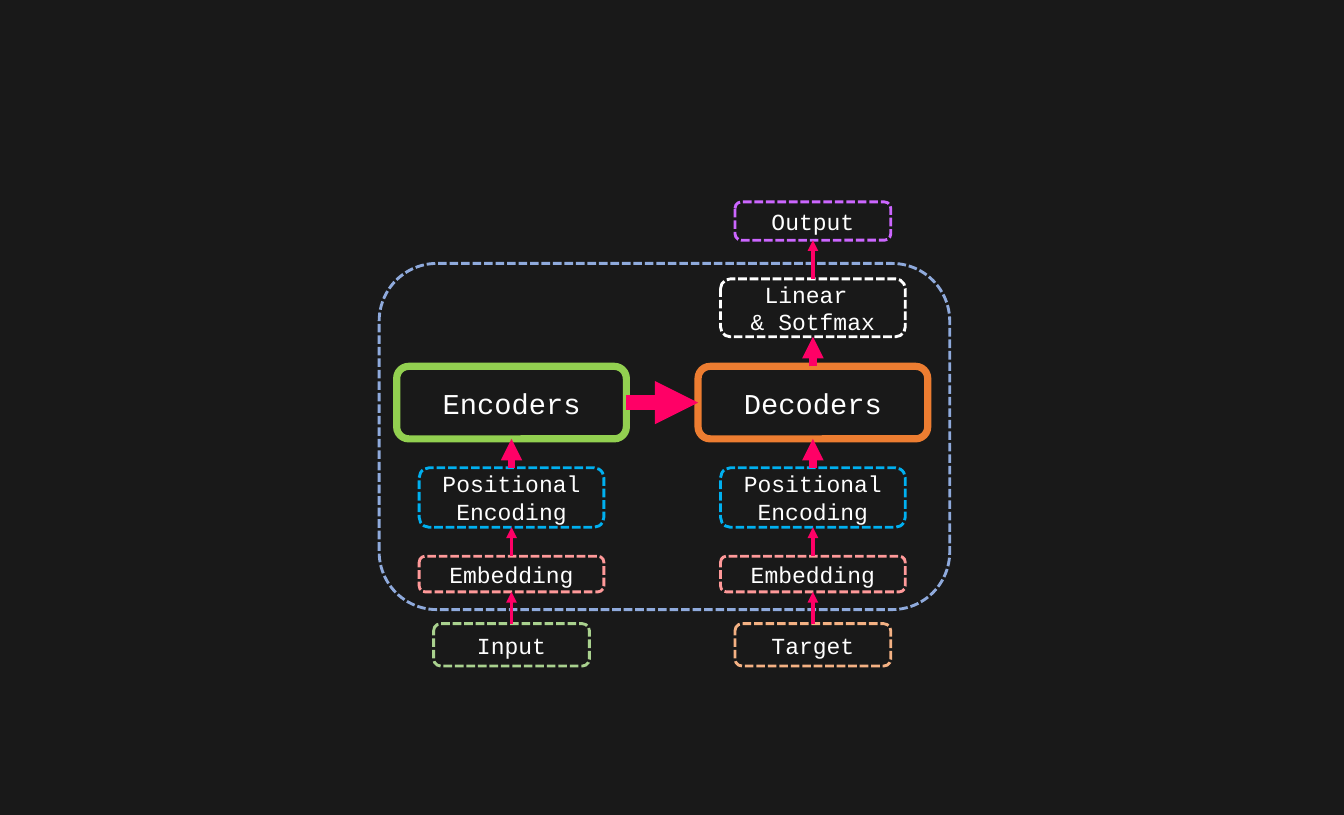
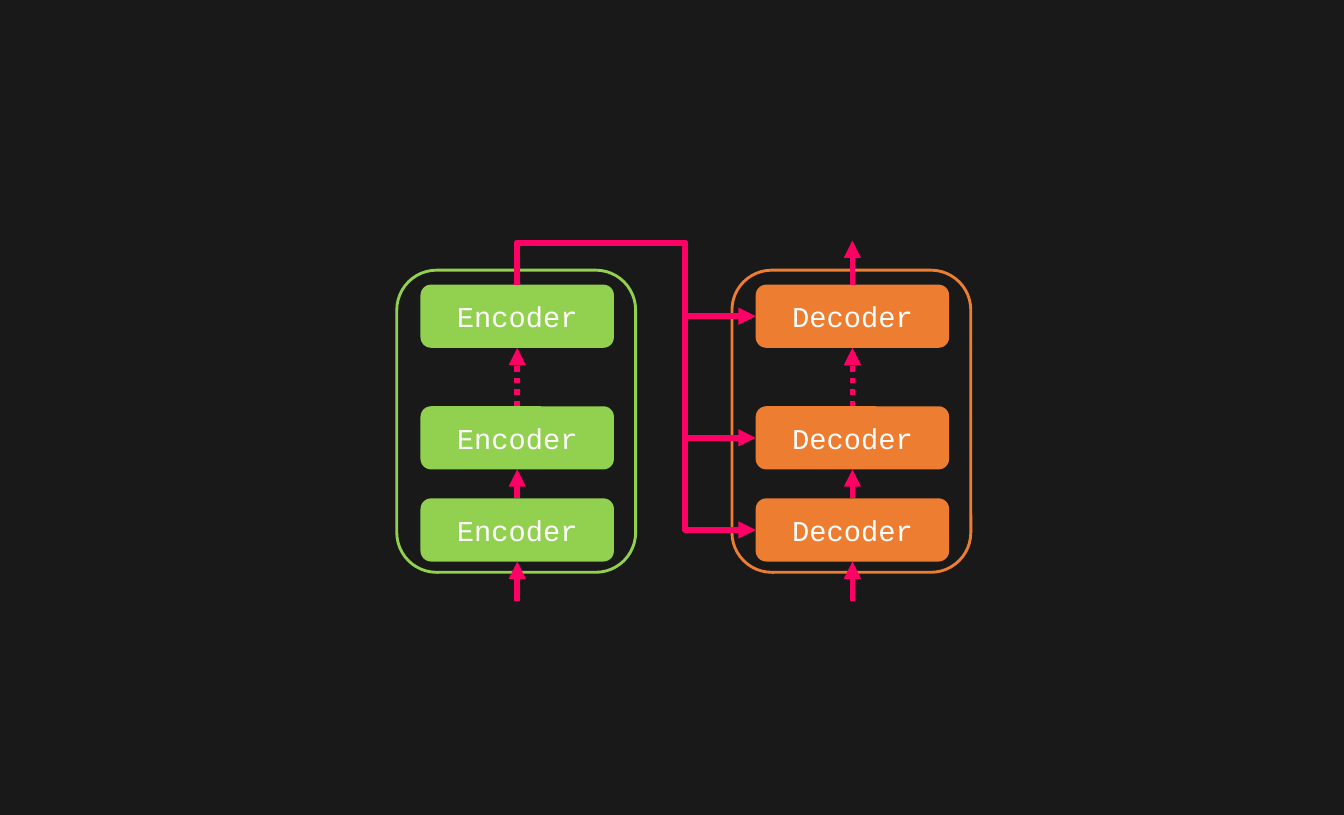
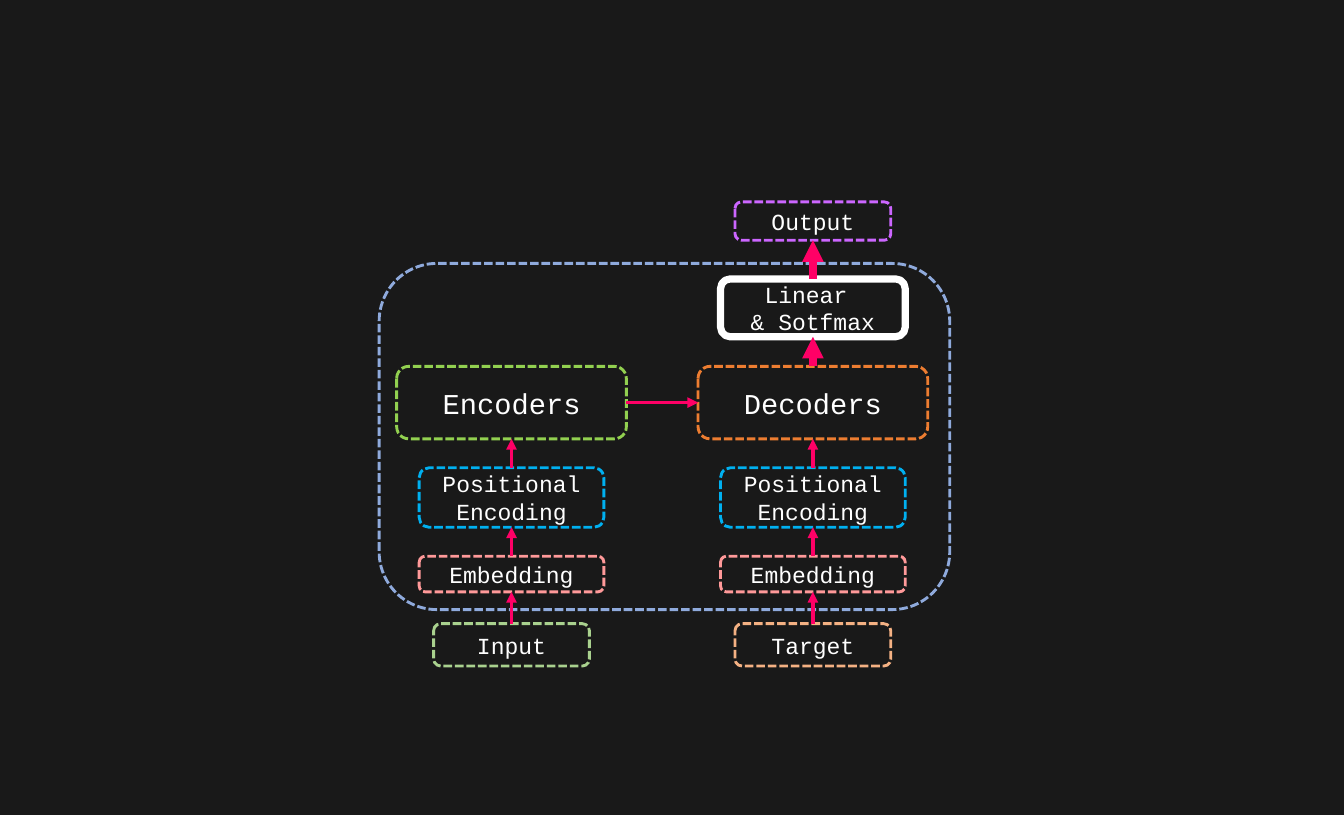
from dataclasses import dataclass
from itertools import pairwise

from lxml.etree import SubElement
from pptx import Presentation
from pptx.dml.color import RGBColor
from pptx.enum.dml import MSO_LINE
from pptx.enum.shapes import MSO_CONNECTOR, MSO_SHAPE
from pptx.enum.text import MSO_ANCHOR, PP_ALIGN
from pptx.oxml.ns import qn
from pptx.shapes.autoshape import Shape
from pptx.shapes.connector import Connector
from pptx.slide import Slide
from pptx.util import Cm, Pt


# Colours, type and line weights
@dataclass(frozen=True)
class Theme:
    background: str = "191919"
    text: str = "FFFFFF"
    arrow: str = "FF0066"
    encoder: str = "92D050"
    decoder: str = "ED7D31"
    frame: str = "8FAADC"
    source: str = "A9D18E"
    target: str = "F4B183"
    embedding: str = "FF9999"
    position: str = "00B0F0"
    linear: str = "FFFFFF"
    output: str = "CC66FF"
    font: str = "Courier New"
    large: int = 40
    small: int = 32
    outline: int = 4
    strong_outline: int = 10
    stack_arrow: int = 8
    # Arrow weight by the number of emphasised boxes it joins
    arrow_weights: tuple[int, ...] = (5, 10, 20)


THEME = Theme()


# Boxes, with lengths in centimetres
@dataclass(frozen=True)
class Box:
    text: str
    color: str
    center: float
    top: float
    width: float
    height: float
    size: int = THEME.small

    @property
    def left(self) -> float:
        return self.center - self.width / 2

    @property
    def right(self) -> float:
        return self.center + self.width / 2

    @property
    def bottom(self) -> float:
        return self.top + self.height

    @property
    def middle(self) -> float:
        return self.top + self.height / 2


def write_text(shape: Shape, text: str, *, size: int, color: str = THEME.text,
               font: str = THEME.font, align: PP_ALIGN = PP_ALIGN.CENTER) -> None:
    frame = shape.text_frame
    frame.text = text
    frame.word_wrap = True
    frame.vertical_anchor = MSO_ANCHOR.MIDDLE
    for paragraph in frame.paragraphs:
        paragraph.alignment = align
        for run in paragraph.runs:
            run.font.name = font
            run.font.size = Pt(size)
            run.font.color.rgb = RGBColor.from_string(color)


def draw_box(slide: Slide, box: Box, *, filled: bool = False,
             weight: int = THEME.outline, dash: MSO_LINE | None = None) -> Shape:
    shape = slide.shapes.add_shape(MSO_SHAPE.ROUNDED_RECTANGLE, Cm(box.left),
                                   Cm(box.top), Cm(box.width), Cm(box.height))
    shape.shadow.inherit = False
    color = RGBColor.from_string(box.color)
    if filled:
        shape.fill.solid()
        shape.fill.fore_color.rgb = color
        shape.line.fill.background()
    else:
        shape.fill.background()
        shape.line.color.rgb = color
        shape.line.width = Pt(weight)
        shape.line.dash_style = dash
    if box.text:
        write_text(shape, box.text, size=box.size)
    return shape


def draw_arrow(slide: Slide, start: tuple[float, float], end: tuple[float, float], *,
               weight: int, dash: MSO_LINE | None = None,
               kind: MSO_CONNECTOR = MSO_CONNECTOR.STRAIGHT) -> Connector:
    connector = slide.shapes.add_connector(kind, *(Cm(value) for value in (*start, *end)))
    connector.line.color.rgb = RGBColor.from_string(THEME.arrow)
    connector.line.width = Pt(weight)
    connector.line.dash_style = dash
    properties = connector._element.spPr
    SubElement(properties.find(qn("a:ln")), qn("a:tailEnd"), type="triangle")
    SubElement(properties, qn("a:effectLst"))
    return connector


def draw_branch(slide: Slide, source: Shape, target: Shape, start: tuple[float, float],
                end: tuple[float, float], *, rail_x: float, rail_y: float) -> None:
    """Run from a box top up to rail_y, across to rail_x, down and into a box side."""
    connector = draw_arrow(slide, start, end, weight=THEME.stack_arrow,
                           kind=MSO_CONNECTOR.ELBOW)
    connector.begin_connect(source, 0)
    connector.end_connect(target, 1)
    across, down = end[0] - start[0], end[1] - start[1]

    # The four-part elbow is stored turned by 270 degrees about its centre
    connector.left = Cm((start[0] + end[0] - down) / 2)
    connector.top = Cm((start[1] + end[1] - across) / 2)
    connector.width, connector.height = Cm(down), Cm(across)
    properties = connector._element.spPr
    transform = properties.find(qn("a:xfrm"))
    transform.set("rot", str(270 * 60000))
    transform.set("flipH", "1")
    geometry = properties.find(qn("a:prstGeom"))
    geometry.set("prst", "bentConnector4")
    guides = geometry.find(qn("a:avLst"))
    ratios = ((rail_y - start[1]) / down, (rail_x - start[0]) / across)
    for number, ratio in enumerate(ratios, start=1):
        SubElement(guides, qn("a:gd"), name=f"adj{number}",
                   fmla=f"val {round(ratio * 100000)}")


# Overview of the whole model
def column(center: float, entry: str, entry_color: str,
           stage: str, stage_color: str) -> list[Box]:
    return [
        Box(entry, entry_color, center, 30.61, 7.65, 2.08),
        Box("Embedding", THEME.embedding, center, 27.3, 9.07, 1.75),
        Box("Positional Encoding", THEME.position, center, 22.96, 9.07, 2.92),
        Box(stage, stage_color, center, 17.98, 11.28, 3.56, THEME.large),
    ]


def draw_overview(slide: Slide, emphasised: set[str]) -> None:
    encoder_center, decoder_center = 25.12, 39.92
    encoders = column(encoder_center, "Input", THEME.source, "Encoders", THEME.encoder)
    decoders = column(decoder_center, "Target", THEME.target, "Decoders", THEME.decoder)
    linear = Box("Linear \n& Sotfmax", THEME.linear, decoder_center, 13.69, 9.07, 2.84)
    output = Box("Output", THEME.output, decoder_center, 9.91, 7.65, 1.88)
    chains = (encoders, [*decoders, linear, output])

    def arrow_weight(*boxes: Box) -> int:
        return THEME.arrow_weights[sum(box.text.split()[0] in emphasised for box in boxes)]

    draw_box(slide, Box("", THEME.frame, 32.63, 12.93, 28.02, 16.99),
             dash=MSO_LINE.SQUARE_DOT)
    for chain in chains:
        for box in chain:
            if box.text.split()[0] in emphasised:
                draw_box(slide, box, weight=THEME.strong_outline)
            else:
                draw_box(slide, box, dash=MSO_LINE.SQUARE_DOT)
        for lower, upper in pairwise(chain):
            draw_arrow(slide, (lower.center, lower.top), (upper.center, upper.bottom),
                       weight=arrow_weight(lower, upper))
    encoder, decoder = encoders[-1], decoders[-1]
    draw_arrow(slide, (encoder.right, encoder.middle), (decoder.left, decoder.middle),
               weight=arrow_weight(encoder, decoder))


# Stacks of encoders and decoders
def draw_stack(slide: Slide, name: str, color: str,
               center: float) -> list[tuple[Box, Shape]]:
    draw_box(slide, Box("", color, center - 0.05, 13.26, 11.73, 14.83))
    boxes = [Box(name, color, center, top, 9.5, 3.1, THEME.large)
             for top in (24.46, 19.94, 13.97)]
    shapes = [draw_box(slide, box, filled=True) for box in boxes]
    bottom, middle, top = boxes
    draw_arrow(slide, (center, 29.51), (center, bottom.bottom), weight=THEME.stack_arrow)
    draw_arrow(slide, (center, bottom.top), (center, middle.bottom),
               weight=THEME.stack_arrow)
    draw_arrow(slide, (center, middle.top), (center, top.bottom),
               weight=THEME.stack_arrow, dash=MSO_LINE.ROUND_DOT)
    return list(zip(boxes, shapes))


def draw_stacks(slide: Slide) -> None:
    encoders = draw_stack(slide, "Encoder", THEME.encoder, 25.4)
    decoders = draw_stack(slide, "Decoder", THEME.decoder, 41.86)
    source, source_shape = encoders[-1]
    for target, target_shape in decoders:
        draw_branch(slide, source_shape, target_shape, (source.center, source.top),
                    (target.left, target.middle), rail_x=33.63, rail_y=11.92)
    last = decoders[-1][0]
    draw_arrow(slide, (last.center, last.top), (last.center, 11.81),
               weight=THEME.stack_arrow)


def main() -> None:
    presentation = Presentation()
    presentation.slide_width, presentation.slide_height = Cm(66), Cm(40)
    background = presentation.slide_master.background.fill
    background.solid()
    background.fore_color.rgb = RGBColor.from_string(THEME.background)
    blank = presentation.slide_layouts.get_by_name("Blank")
    overview, stacks, final = (presentation.slides.add_slide(blank) for _ in range(3))
    draw_overview(overview, {"Encoders", "Decoders"})
    draw_stacks(stacks)
    draw_overview(final, {"Linear"})
    presentation.save("out.pptx")


main()
